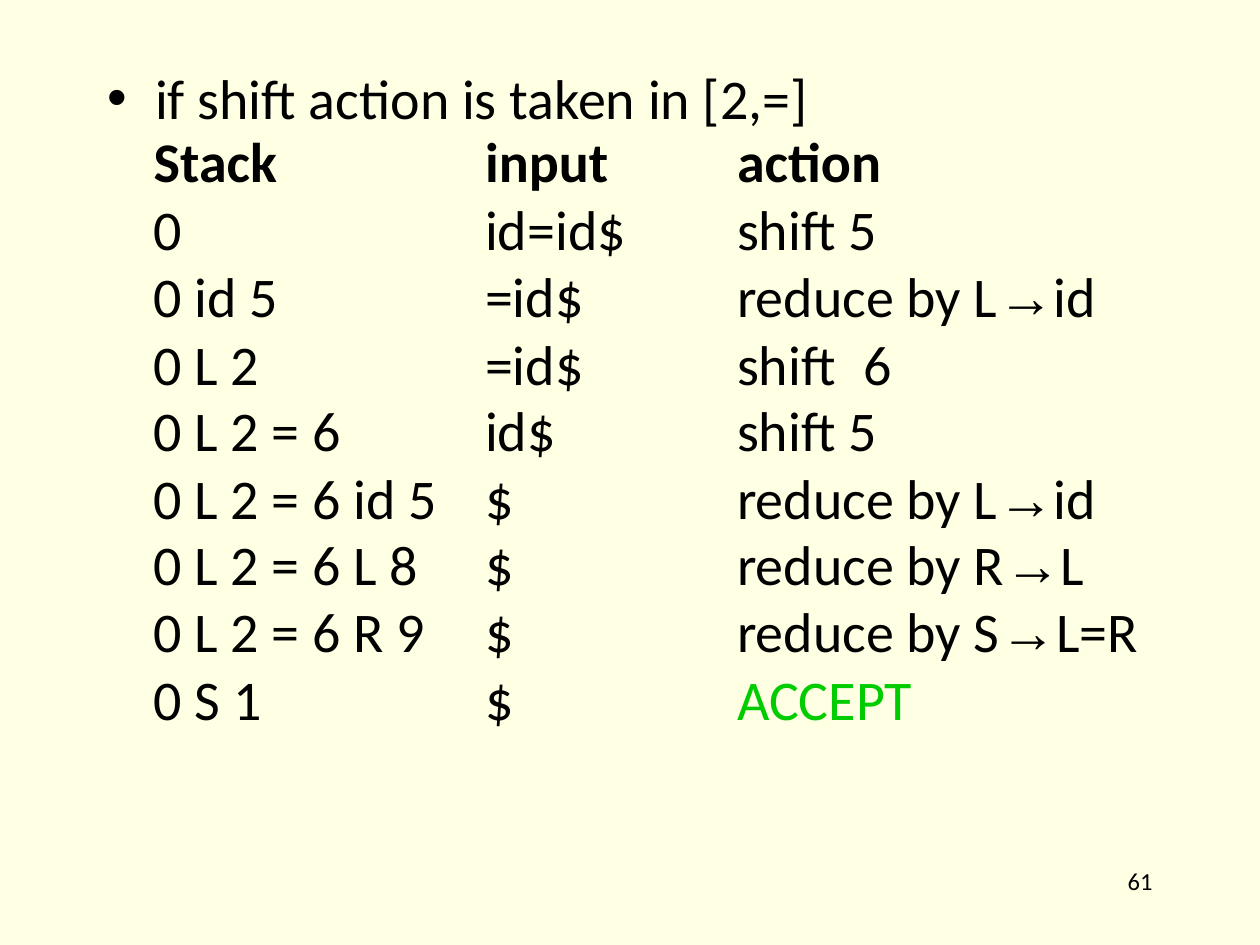
import pptx
import pptx.dml.color
import pptx.enum.text
import pptx.oxml.ns
import pptx.util
from lxml import etree
from pptx.util import Inches

CREAM = pptx.dml.color.RGBColor(0xFF, 0xFF, 0xE4)
BLACK = pptx.dml.color.RGBColor(0x00, 0x00, 0x00)
GREEN = pptx.dml.color.RGBColor(0x00, 0xCC, 0x00)
NO_GRID_STYLE = "{2D5ABB26-0587-4C30-8999-92F81FD0307C}"
ARROW = "→"

COLUMN_WIDTHS = (2.47, 1.75, 3.66)
COLUMN_INDENTS = (0.03, 0.19, 0.44)
# Row height in inches, line spacing in points, then stack, input and action
PARSE_STEPS = (
    (0.49, 30.4, "Stack", "input", "action"),
    (0.50, 33.6, "0", "id=id$", "shift 5"),
    (0.57, 36, "0 id 5", "=id$", "reduce by L→id"),
    (0.53, 33.6, "0 L 2", "=id$", "shift\t6"),
    (0.50, 33.6, "0 L 2 = 6", "id$", "shift 5"),
    (0.53, 36, "0 L 2 = 6 id 5", "$", "reduce by L→id"),
    (0.53, 36, "0 L 2 = 6 L 8", "$", "reduce by R→L"),
    (0.57, 36, "0 L 2 = 6 R 9", "$", "reduce by S→L=R"),
    (0.49, 33.6, "0 S 1", "$", "ACCEPT"),
)


def apply_format(target, values):
    for attribute, value in values.items():
        setattr(target, attribute, value)


def add_text(paragraph, text, size=32, bold=False, color=BLACK):
    """Write the text in Calibri, with any arrow in Arial."""
    for part in filter(None, text.partition(ARROW)):
        run = paragraph.add_run()
        run.text = part
        apply_format(run.font, {
            "name": "Arial" if part == ARROW else "Calibri",
            "size": pptx.util.Pt(size),
            "bold": bold,
        })
        run.font.color.rgb = color


def set_indent(paragraph, left, first=0):
    properties = paragraph._p.get_or_add_pPr()
    properties.set("marL", str(Inches(left)))
    properties.set("indent", str(Inches(first)))


def add_tab_stop(paragraph, position):
    properties = paragraph._p.get_or_add_pPr()
    tabs = etree.SubElement(properties, pptx.oxml.ns.qn("a:tabLst"))
    etree.SubElement(tabs, pptx.oxml.ns.qn("a:tab"),
                     pos=str(Inches(position)), algn="l")


def prepare_frame(frame, top_margin=0):
    apply_format(frame, {
        "margin_left": 0,
        "margin_top": Inches(top_margin),
        "margin_right": 0,
        "margin_bottom": 0,
        "word_wrap": True,
        "auto_size": pptx.enum.text.MSO_AUTO_SIZE.NONE,
        "vertical_anchor": pptx.enum.text.MSO_ANCHOR.TOP,
    })
    return frame.paragraphs[0]


def place_heading(body, left, top, width, height):
    apply_format(body, {
        "left": Inches(left), "top": Inches(top),
        "width": Inches(width), "height": Inches(height),
    })
    heading = prepare_frame(body.text_frame, top_margin=0.01)
    set_indent(heading, 0.39, -0.38)
    heading.space_before = pptx.util.Pt(1.1)
    add_text(heading, "if shift action is taken in [2,=]")


def add_parse_table(slide, left, top):
    width = sum(COLUMN_WIDTHS)
    height = sum(step[0] for step in PARSE_STEPS)
    frame = slide.shapes.add_table(
        len(PARSE_STEPS), len(COLUMN_WIDTHS),
        Inches(left), Inches(top), Inches(width), Inches(height))
    table = frame.table
    apply_format(table, {"first_row": False, "horz_banding": False})
    table._tbl.tblPr.find(pptx.oxml.ns.qn("a:tableStyleId")).text = NO_GRID_STYLE
    for column, column_width in zip(table.columns, COLUMN_WIDTHS):
        column.width = Inches(column_width)

    for index, (row, step) in enumerate(zip(table.rows, PARSE_STEPS)):
        row_height, line_spacing, *texts = step
        row.height = Inches(row_height)
        for cell, text, indent in zip(row.cells, texts, COLUMN_INDENTS):
            cell.fill.background()
            apply_format(cell, {
                "margin_left": 0, "margin_top": 0,
                "margin_right": 0, "margin_bottom": 0,
            })
            entry = cell.text_frame.paragraphs[0]
            set_indent(entry, indent)
            entry.line_spacing = pptx.util.Pt(line_spacing)
            if "\t" in text:
                add_tab_stop(entry, 1.44)
            add_text(entry, text, bold=index == 0,
                     color=GREEN if text == "ACCEPT" else BLACK)


def add_page_number(slide, left, top, width, height):
    box = slide.shapes.add_textbox(
        Inches(left), Inches(top), Inches(width), Inches(height))
    number = prepare_frame(box.text_frame)
    set_indent(number, 0.04)
    number.line_spacing = pptx.util.Pt(14.3)
    add_text(number, "61", size=14)


def main():
    deck = pptx.Presentation()
    apply_format(deck, {"slide_width": Inches(10), "slide_height": Inches(7.5)})
    slide = deck.slides.add_slide(deck.slide_layouts[1])

    # Background
    slide.background.fill.solid()
    slide.background.fill.fore_color.rgb = CREAM

    # The slide has no title
    title = slide.shapes.title
    title.element.getparent().remove(title.element)

    # Content
    place_heading(slide.placeholders[1], 0.84, 0.49, 5.63, 0.56)
    add_page_number(slide, 8.91, 6.91, 0.3, 0.22)
    add_parse_table(slide, 1.19, 1.15)
    deck.save("out.pptx")


if __name__ == "__main__":
    main()
